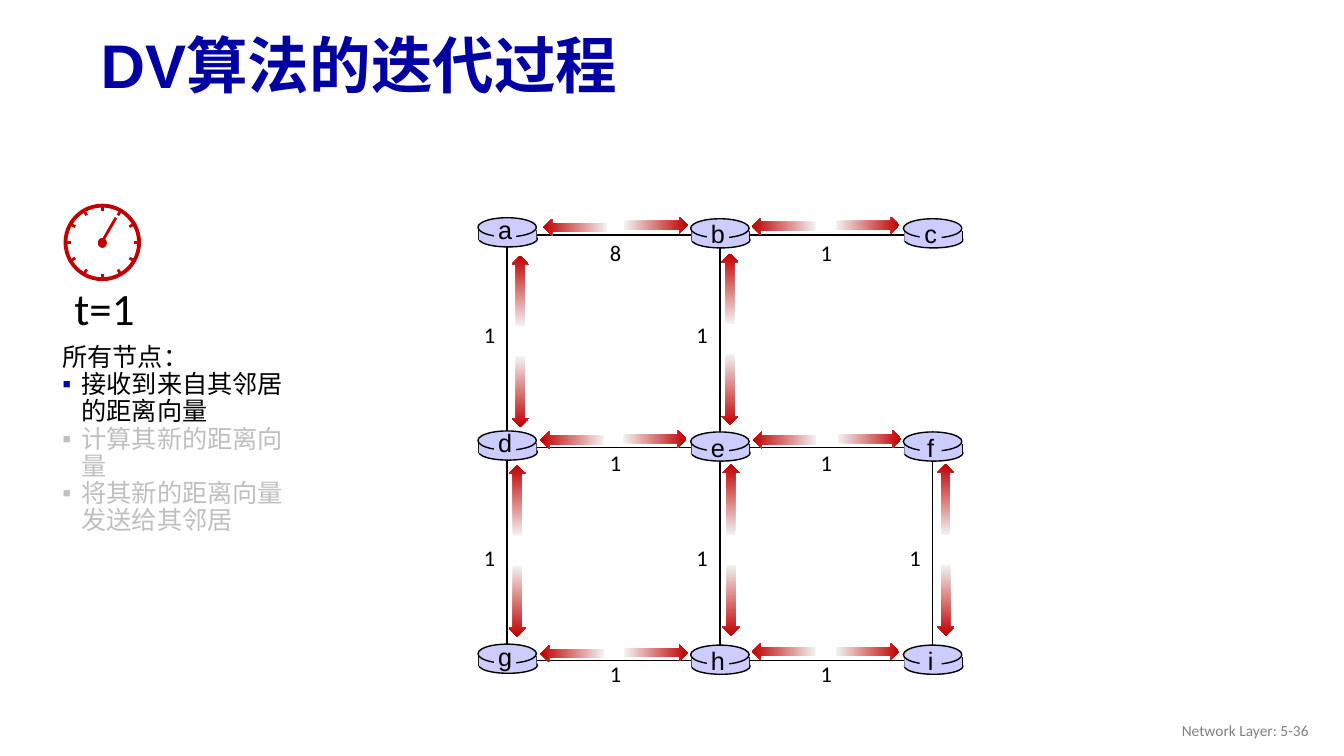
from math import cos, pi, sin
from lxml.etree import SubElement
from pptx import Presentation
from pptx.dml.color import RGBColor
from pptx.enum.shapes import MSO_CONNECTOR, MSO_SHAPE
from pptx.enum.text import MSO_ANCHOR, PP_ALIGN
from pptx.oxml.ns import qn
from pptx.util import Inches, Pt

RED, BLACK, GREY, LILAC, WHITE = "C00000", "000000", "BFBFBF", "CCCCFF", "FFFFFF"
OVAL, RECT, ARROW = MSO_SHAPE.OVAL, MSO_SHAPE.RECTANGLE, MSO_SHAPE.RIGHT_ARROW
RIGHT, DOWN, LEFT, UP = 0, 90, 180, 270
PITCH = 2.11


def tint(code):
    return RGBColor.from_string(code)


class Sketch:
    font = "Calibri"

    def __init__(self, slide):
        self.slide = slide
        self.items = slide.shapes

    def group(self):
        self.items = self.slide.shapes.add_group_shape().shapes

    def close(self):
        self.items = self.slide.shapes

    def text(self, words, x, y, w, h, size, color=BLACK, font=None, bold=False,
             align=PP_ALIGN.LEFT, anchor=MSO_ANCHOR.TOP, wrap=False, space=None):
        box = self.items.add_textbox(Inches(x), Inches(y), Inches(w), Inches(h))
        frame = box.text_frame
        frame.text = words
        frame.word_wrap = wrap
        frame.vertical_anchor = anchor
        for para in frame.paragraphs:
            para.alignment = align
            para.line_spacing = space
            for run in para.runs:
                run.font.name = font or self.font
                run.font.size = Pt(size)
                run.font.bold = bold
                run.font.color.rgb = tint(color)
        return frame

    def bullet(self, para, mark, color):
        props = para._p.get_or_add_pPr()
        props.set("marL", str(Inches(0.19)))
        props.set("indent", str(-Inches(0.19)))
        shade = SubElement(props, qn("a:buClr"))
        SubElement(shade, qn("a:srgbClr")).set("val", mark)
        SubElement(props, qn("a:buFont")).set("typeface", "Arial")
        SubElement(props, qn("a:buChar")).set("char", "▪")
        for run in para.runs:
            run.font.color.rgb = tint(color)

    def shape(self, kind, x, y, w, h, fill=None, line=None, width=1):
        item = self.items.add_shape(kind, Inches(x), Inches(y), Inches(w), Inches(h))
        item.shadow.inherit = False
        if fill:
            item.fill.solid()
            item.fill.fore_color.rgb = tint(fill)
        else:
            item.fill.background()
        if line:
            item.line.color.rgb = tint(line)
            item.line.width = Pt(width)
        else:
            item.line.fill.background()
        return item

    def line(self, x1, y1, x2, y2, color=BLACK, width=1):
        link = self.items.add_connector(MSO_CONNECTOR.STRAIGHT, Inches(x1), Inches(y1),
                                        Inches(x2), Inches(y2))
        link.line.color.rgb = tint(color)
        link.line.width = Pt(width)
        SubElement(link._element.spPr, qn("a:effectLst"))

    def arrow(self, x, y, turn):
        size = 0.7 if turn in (UP, DOWN) else 0.63
        item = self.shape(ARROW, x, y, size, 0.17)
        item.rotation = turn
        item.fill.gradient()
        item.fill.gradient_angle = 0
        for stop, color in zip(item.fill.gradient_stops, ("F2F2F2", RED)):
            stop.color.rgb = tint(color)

    def clock(self, x, y):
        self.group()
        self.text("t=1", 0.64, 2.74, 0.81, 0.64, 32)
        self.shape(OVAL, x - 0.365, y - 0.365, 0.73, 0.73, line=RED, width=2.75)
        for hour in range(12):
            across, down = cos(hour * pi / 6), sin(hour * pi / 6)
            self.line(x + 0.31 * across, y + 0.31 * down,
                      x + 0.37 * across, y + 0.37 * down, RED, 2)
        self.shape(OVAL, x - 0.045, y - 0.045, 0.09, 0.1, fill=RED)
        self.line(1.15, 2.16, 1, 2.42, RED, 2)
        self.close()

    def router(self, name, x, y, lift):
        self.shape(OVAL, x + 0.01, y + 0.13, 0.58, 0.16, LILAC, BLACK)
        for side in (x + 0.01, x + 0.58):
            self.line(side, y + 0.12, side, y + 0.22)
        self.shape(RECT, x + 0.01, y + 0.12, 0.57, 0.1, LILAC)
        self.shape(OVAL, x, y, 0.58, 0.19, LILAC, BLACK)
        self.shape(RECT, x + 0.16, y + 0.05, 0.22, 0.2, LILAC)
        self.text(name, x + 0.1, y - lift, 0.34, 0.4, 18, font="Arial",
                  align=PP_ALIGN.CENTER)


def main():
    deck = Presentation()
    deck.slide_width, deck.slide_height = Inches(13.33), Inches(7.5)
    art = Sketch(deck.slides.add_slide(deck.slide_layouts[6]))

    art.text("DV算法的迭代过程", 0.9, 0.19, 11.5, 0.98, 44, "0000A3", "Arial", True,
             anchor=MSO_ANCHOR.MIDDLE, wrap=True, space=0.9)
    art.text("Network Layer: 5-36", 10.08, 7.05, 3, 0.4, 11, "808080",
             align=PP_ALIGN.RIGHT, anchor=MSO_ANCHOR.MIDDLE, wrap=True)

    steps = ["所有节点：", "接收到来自其邻居的距离向量", "计算其新的距离向量",
             "将其新的距离向量发送给其邻居"]
    frame = art.text("\n".join(steps), 0.52, 3.37, 2.4, 2.01, 18, wrap=True, space=0.9)
    looks = [("0000A8", BLACK), (GREY, GREY), (GREY, GREY)]
    for para, look in zip(frame.paragraphs[1:], looks):
        art.bullet(para, *look)

    art.clock(1.015, 2.405)

    art.line(7.14, 6.55, 7.14, 2.33)
    art.line(5.03, 4.44, 9.25, 4.44)
    art.shape(RECT, 5.03, 2.33, 2 * PITCH, 2 * PITCH, line=BLACK)
    art.shape(RECT, 9.16, 2.41, 0.14, 2.03, WHITE)

    for row, names in enumerate(("abc", "def", "ghi")):
        art.group()
        for col, name in enumerate(names):
            drop = 0.01 if col else 0
            art.router(name, 4.74 + PITCH * col, 2.16 + 2.115 * row + drop,
                       0.05 if col else 0.08)
        art.close()

    for row, costs in enumerate(("81", "11", "11")):
        for col, cost in enumerate(costs):
            art.text(cost, 5.95 + 2.09 * col, 2.32 + 2.09 * row, 0.33, 0.37, 16)
    for row, count in enumerate((2, 3)):
        for col in range(count):
            art.text("1", 4.7 + PITCH * col, 3.14 + 2.21 * row, 0.33, 0.37, 16)

    level = [(5.39, 2.17, 6.19, 2.15), (7.46, 2.16, 8.29, 2.15),
             (5.36, 4.28, 6.18, 4.27), (7.47, 4.28, 8.31, 4.27),
             (5.36, 6.4, 6.19, 6.39), (7.46, 6.38, 8.29, 6.38)]
    for left, top, right, base in level:
        art.arrow(left, top, LEFT)
        art.arrow(right, base, RIGHT)
    for x, y in [(4.81, 2.8), (6.89, 2.78), (4.78, 4.88), (6.9, 4.87), (9.03, 4.87)]:
        art.arrow(x, y, UP)
        art.arrow(x, y + 1, DOWN)

    deck.save("out.pptx")


if __name__ == "__main__":
    main()
